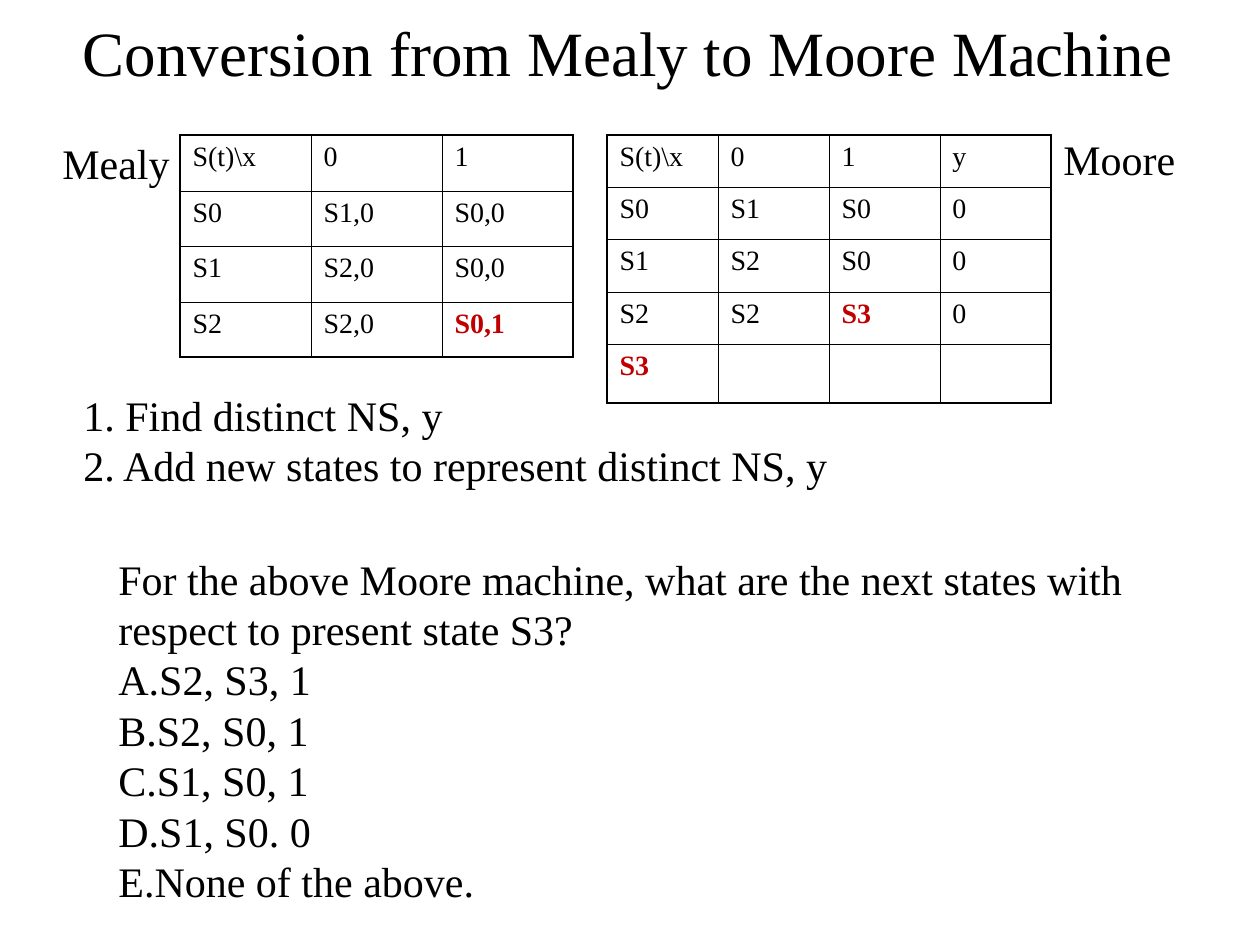
"""Builds a slide on converting a Mealy machine to a Moore machine."""
from dataclasses import dataclass
from typing import Any

from lxml import etree
from pptx import Presentation
from pptx import util as u
from pptx.dml.color import RGBColor
from pptx.enum import text
from pptx.oxml.ns import qn

BLACK = RGBColor(0x00, 0x00, 0x00)
RED = RGBColor(0xC0, 0x00, 0x00)
PX = 914400 // 126

MEALY = [
    ["S(t)\\x", "0", "1"],
    ["S0", "S1,0", "S0,0"],
    ["S1", "S2,0", "S0,0"],
    ["S2", "S2,0", "S0,1"],
]
MOORE = [
    ["S(t)\\x", "0", "1", "y"],
    ["S0", "S1", "S0", "0"],
    ["S1", "S2", "S0", "0"],
    ["S2", "S2", "S3", "0"],
    ["S3", "", "", ""],
]
NEW_STATES = {"S0,1", "S3"}
STEPS = ["1. Find distinct NS, y", "2. Add new states to represent distinct NS, y"]
QUESTION = ("For the above Moore machine, what are the next states with "
            "respect to present state S3?")
ANSWERS = ["S2, S3, 1", "S2, S0, 1", "S1, S0, 1", "S1, S0. 0", "None of the above."]


def px(*lengths):
    return [u.Emu(n * PX) for n in lengths]


@dataclass
class Deck:
    """Holds the text style and the slide being built."""
    slide: Any
    font: str = "Times New Roman"
    title_size: int = 36
    body_size: int = 24
    cell_size: int = 16
    thin: float = 0.45
    thick: float = 1.08

    def run(self, p, words, size, color=BLACK, bold=False):
        r = p.add_run()
        r.text = words
        r.font.name = self.font
        r.font.size = u.Pt(size)
        r.font.bold = bold
        r.font.color.rgb = color

    def title(self, box, words):
        sp = self.slide.shapes.title
        sp.left, sp.top, sp.width, sp.height = px(*box)
        tf = sp.text_frame
        tf.vertical_anchor = text.MSO_ANCHOR.MIDDLE
        p = tf.paragraphs[0]
        p.alignment = text.PP_ALIGN.CENTER
        self.run(p, words, self.title_size)

    def textbox(self, box, lines, lettered=(), wrap=False):
        tf = self.slide.shapes.add_textbox(*px(*box)).text_frame
        tf.word_wrap = wrap
        tf.auto_size = text.MSO_AUTO_SIZE.SHAPE_TO_FIT_TEXT
        for i, line in enumerate([*lines, *lettered]):
            p = tf.add_paragraph() if i else tf.paragraphs[0]
            if i >= len(lines):
                self.letter(p)
            self.run(p, line, self.body_size)

    def letter(self, p):
        pPr = p._p.get_or_add_pPr()
        pPr.set("marL", "0")
        pPr.set("indent", "0")
        etree.SubElement(pPr, qn("a:buAutoNum"), type="alphaUcPeriod")

    def border(self, cell, side, width):
        tcPr = cell._tc.get_or_add_tcPr()
        ln = etree.SubElement(tcPr, qn(f"a:ln{side}"), w=str(u.Pt(width)))
        fill = etree.SubElement(ln, qn("a:solidFill"))
        etree.SubElement(fill, qn("a:srgbClr"), val=str(BLACK))

    def table(self, left, top, col_width, row_heights, rows):
        n_rows, n_cols = len(rows), len(rows[0])
        box = px(left, top, col_width * n_cols, sum(row_heights))
        table = self.slide.shapes.add_table(n_rows, n_cols, *box).table
        table.first_row = table.horz_banding = False
        for col in table.columns:
            col.width, = px(col_width)
        for row, height in zip(table.rows, row_heights):
            row.height, = px(height)
        for i, words in enumerate(rows):
            for j, word in enumerate(words):
                cell = table.cell(i, j)
                outer = {"L": j == 0, "R": j == n_cols - 1,
                         "T": i == 0, "B": i == n_rows - 1}
                for side, is_outer in outer.items():
                    self.border(cell, side, self.thick if is_outer else self.thin)
                cell.fill.background()
                if word:
                    new = word in NEW_STATES
                    self.run(cell.text_frame.paragraphs[0], word, self.cell_size,
                             RED if new else BLACK, new)


def main():
    prs = Presentation()
    prs.slide_width, prs.slide_height = px(1260, 945)
    deck = Deck(prs.slides.add_slide(prs.slide_layouts[5]))
    deck.title((19, 0, 1218, 102), "Conversion from Mealy to Moore Machine")
    deck.table(607, 135, 111, [52, 52, 53, 52, 59], MOORE)
    deck.table(180, 135, 131, [56, 55, 56, 55], MEALY)
    deck.textbox((71, 383, 771, 113), STEPS)
    deck.textbox((106, 547, 1082, 365), [QUESTION], ANSWERS, wrap=True)
    deck.textbox((50, 131, 135, 63), ["Mealy"])
    deck.textbox((1051, 127, 138, 63), ["Moore"])
    prs.save("out.pptx")


if __name__ == "__main__":
    main()
